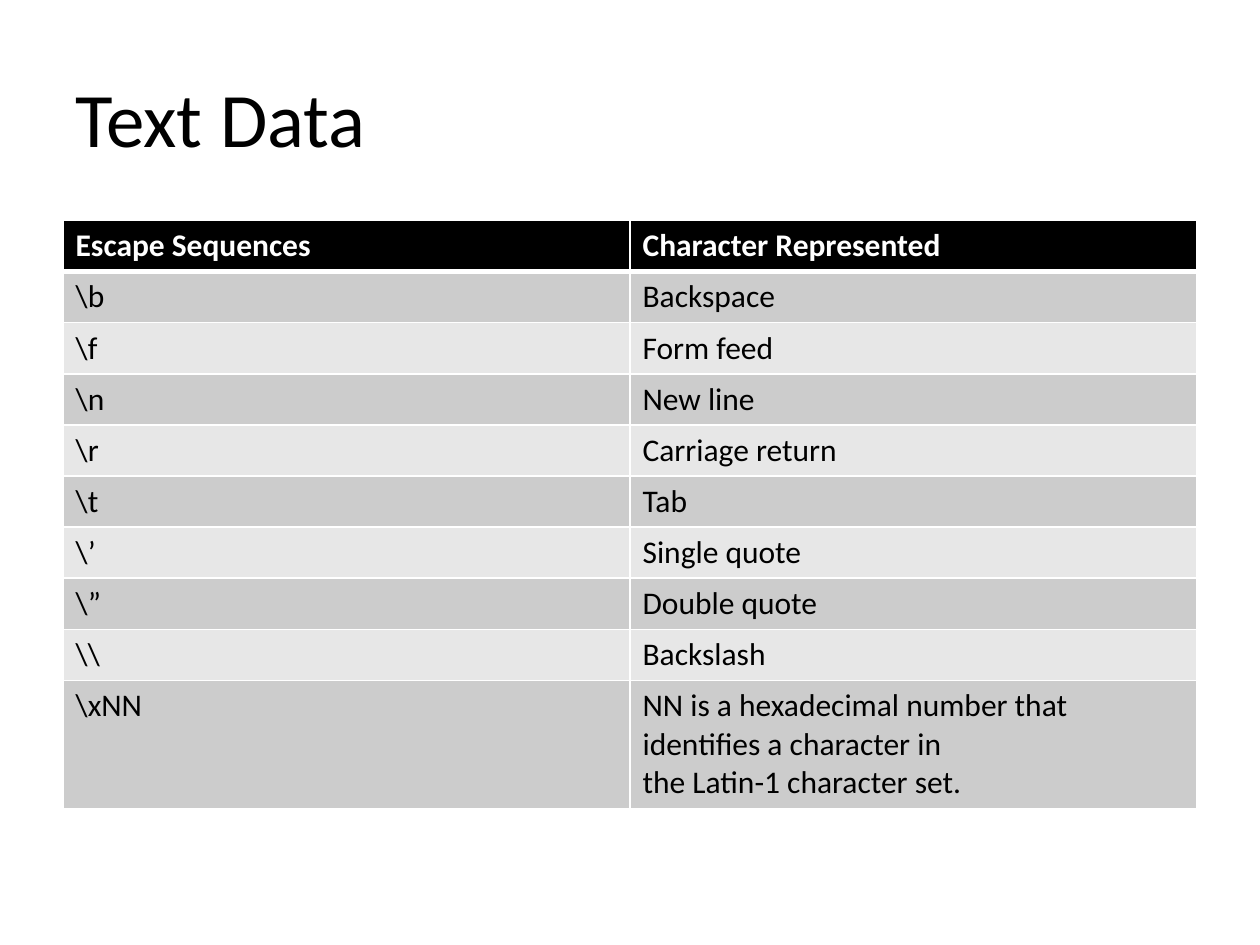
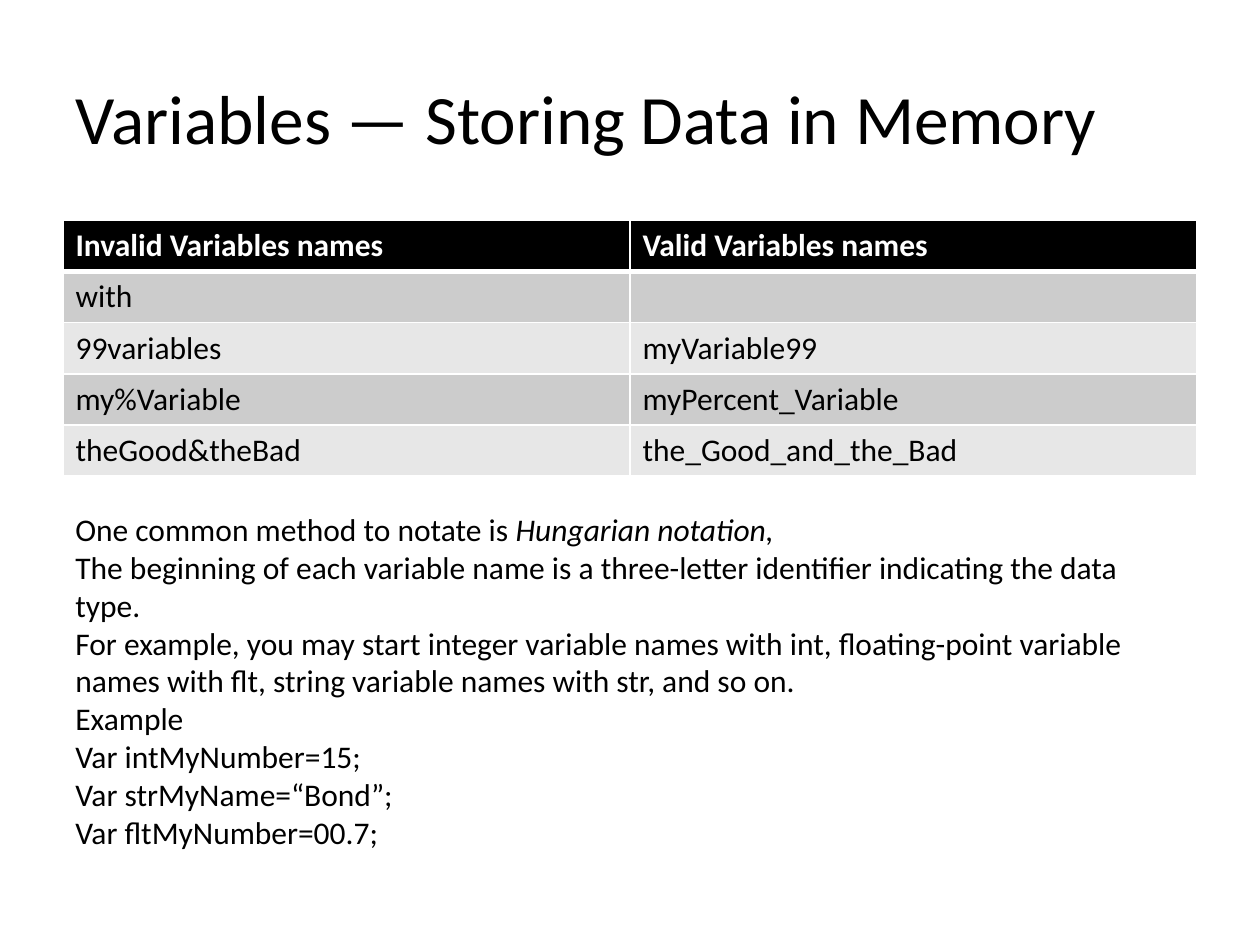
from dataclasses import dataclass
from typing import NamedTuple

from lxml import etree
from pptx import Presentation
from pptx import util as u
from pptx.dml.color import RGBColor
from pptx.enum import text
from pptx.oxml.ns import qn


@dataclass(frozen=True)
class Theme:
    font: str = "Calibri"
    ink: str = "000000"
    paper: str = "FFFFFF"
    bands: tuple[str, str] = ("CCCCCC", "E7E7E7")
    title_size: float = 44
    long_title_size: float = 39.6
    body_size: float = 18
    rule: float = 1
    header_rule: float = 3


class Box(NamedTuple):
    """Place in grid units: columns across, rows down."""
    col: float
    row: float
    cols: float
    rows: float


class Run(NamedTuple):
    words: str
    italic: bool = False


@dataclass(frozen=True)
class TableSlide:
    title: str
    title_size: float
    rows: list[tuple[str, str]]
    notes: tuple[tuple[Run, ...], ...] = ()


THEME = Theme()

# Slide grid: 20 columns by 30 rows
WIDTH, HEIGHT = u.Inches(10), u.Inches(7.5)
COL, ROW = WIDTH // 20, HEIGHT // 30
TITLE = Box(1, 1.2, 18, 5)
TABLE = Box(1, 7, 18, 1.62)  # rows: height of one table row
NOTES = Box(1, 16, 18, 12.5)

SLIDES = [
    TableSlide("Text Data", THEME.title_size, [
        ("Escape Sequences", "Character Represented"),
        (r"\b", "Backspace"),
        (r"\f", "Form feed"),
        (r"\n", "New line"),
        (r"\r", "Carriage return"),
        (r"\t", "Tab"),
        (r"\’", "Single quote"),
        (r"\”", "Double quote"),
        (r"\\", "Backslash"),
        (r"\xNN", """NN is a hexadecimal number that identifies a character in
the Latin-1 character set."""),
    ]),
    TableSlide("Variables — Storing Data in Memory", THEME.long_title_size, [
        ("Invalid Variables names", "Valid Variables names"),
        ("with", ""),
        ("99variables", "myVariable99"),
        ("my%Variable", "myPercent_Variable"),
        ("theGood&theBad", "the_Good_and_the_Bad"),
    ], (
        (Run("One common method to notate is "), Run("Hungarian notation,", italic=True)),
        (Run("The beginning of each variable name is a three-letter identifier "
             "indicating the data type."),),
        (Run("For example, you may start integer variable names with int, floating-point "
             "variable names with flt, string variable names with str, and so on."),),
        (Run("Example"),),
        (Run("Var intMyNumber=15;"),),
        (Run("Var strMyName=“Bond”;"),),
        (Run("Var fltMyNumber=00.7;"),),
    )),
]


def place(box: Box) -> tuple[int, int, int, int]:
    return (round(box.col * COL), round(box.row * ROW),
            round(box.cols * COL), round(box.rows * ROW))


def add_run(p, words: str, *, size: float = THEME.body_size, color: str = THEME.ink,
            bold: bool = False, italic: bool = False) -> None:
    r = p.add_run()
    r.text = words
    font = r.font
    font.name, font.size, font.bold, font.italic = THEME.font, u.Pt(size), bold, italic
    font.color.rgb = RGBColor.from_string(color)


def paragraph(tf, index: int):
    return tf.paragraphs[0] if index == 0 else tf.add_paragraph()


def add_title(s, words: str, size: float) -> None:
    sp = s.shapes.title
    sp.left, sp.top, sp.width, sp.height = place(TITLE)
    tf = sp.text_frame
    tf.word_wrap = True
    tf.auto_size = text.MSO_AUTO_SIZE.NONE
    tf.vertical_anchor = text.MSO_ANCHOR.MIDDLE
    p = tf.paragraphs[0]
    p.alignment = text.PP_ALIGN.LEFT
    add_run(p, words, size=size)


def set_borders(cell, top: float, bottom: float) -> None:
    tc_pr = cell._tc.get_or_add_tcPr()
    widths = {"a:lnL": THEME.rule, "a:lnR": THEME.rule, "a:lnT": top, "a:lnB": bottom}
    for tag, width in widths.items():
        ln = etree.SubElement(tc_pr, qn(tag), w=str(u.Pt(width)))
        fill = etree.SubElement(ln, qn("a:solidFill"))
        etree.SubElement(fill, qn("a:srgbClr"), val=THEME.paper)


def add_table(s, rows: list[tuple[str, str]]) -> None:
    left, top, width, row_height = place(TABLE)
    table = s.shapes.add_table(len(rows), len(rows[0]), left, top, width,
                               row_height * len(rows)).table
    for i, row in enumerate(rows):
        header = i == 0
        fill = THEME.ink if header else THEME.bands[(i - 1) % 2]
        for j, words in enumerate(row):
            cell = table.cell(i, j)
            set_borders(cell, THEME.header_rule if i == 1 else THEME.rule,
                        THEME.header_rule if header else THEME.rule)
            cell.fill.solid()
            cell.fill.fore_color.rgb = RGBColor.from_string(fill)
            for k, line in enumerate(words.splitlines()):
                add_run(paragraph(cell.text_frame, k), line, bold=header,
                        color=THEME.paper if header else THEME.ink)


def add_notes_text(s, lines: tuple[tuple[Run, ...], ...]) -> None:
    tf = s.shapes.add_textbox(*place(NOTES)).text_frame
    tf.word_wrap = True
    tf.auto_size = text.MSO_AUTO_SIZE.SHAPE_TO_FIT_TEXT
    for i, runs in enumerate(lines):
        p = paragraph(tf, i)
        for run in runs:
            add_run(p, run.words, italic=run.italic)


def main() -> None:
    prs = Presentation()
    prs.slide_width, prs.slide_height = WIDTH, HEIGHT
    title_only = prs.slide_layouts[5]
    for content in SLIDES:
        s = prs.slides.add_slide(title_only)
        add_title(s, content.title, content.title_size)
        add_table(s, content.rows)
        if content.notes:
            add_notes_text(s, content.notes)
    prs.save("out.pptx")


if __name__ == "__main__":
    main()
